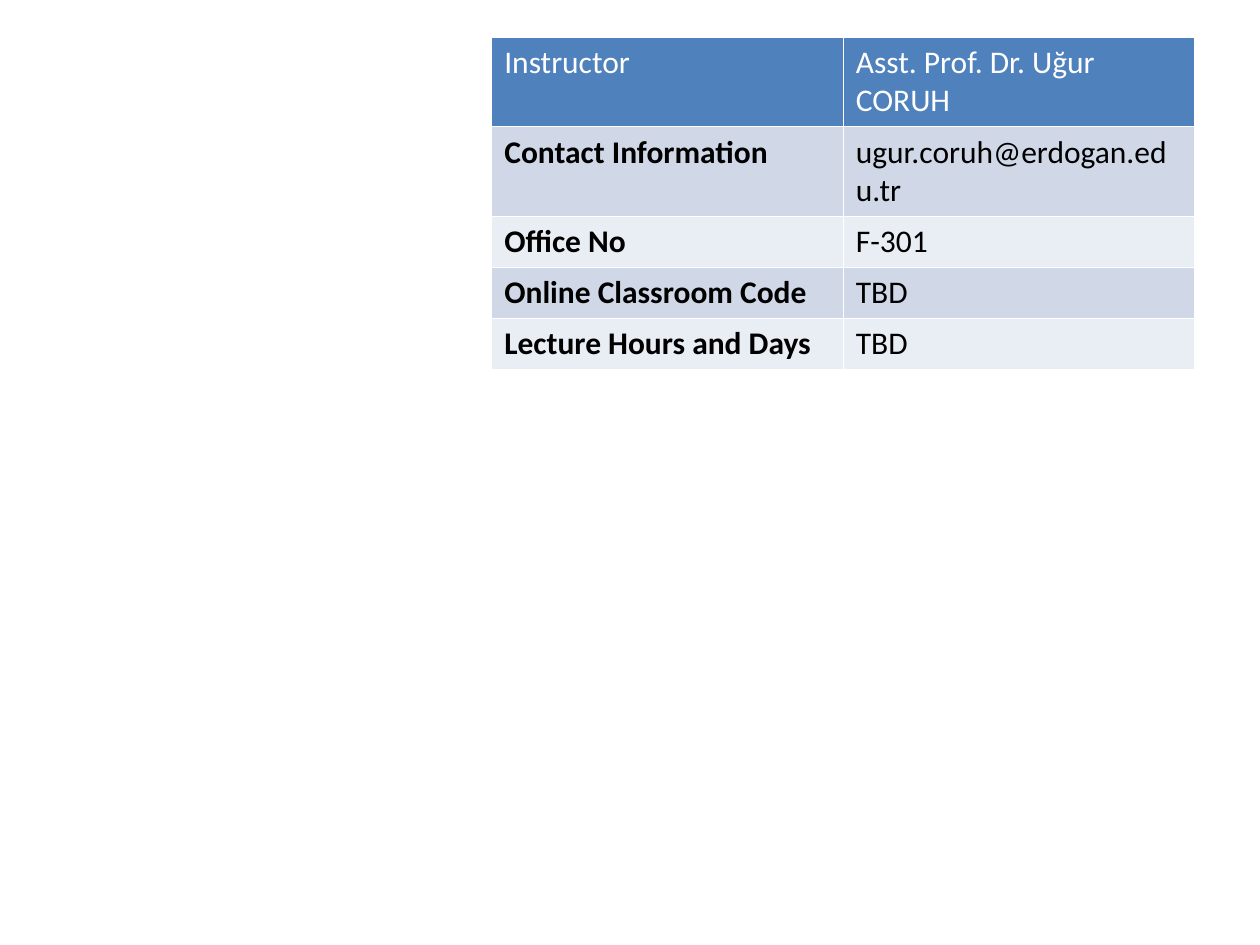
from dataclasses import dataclass

from pptx import Presentation
from pptx.dml.color import RGBColor
from pptx.util import Pt


@dataclass(frozen=True)
class Theme:
    font: str = "Calibri"
    body_size: float = 18
    header_fill: str = "4F81BD"
    header_text: str = "FFFFFF"
    body_text: str = "000000"
    band_fills: tuple = ("E9EDF4", "D0D8E8")


THEME = Theme()
ONE_LINE, TWO_LINES = 29.16, 50.8

INSTRUCTOR_ROWS = [
    ("Instructor", "Asst. Prof. Dr. Uğur CORUH", TWO_LINES),
    ("Contact Information", "ugur.coruh@erdogan.edu.tr", TWO_LINES),
    ("Office No", "F-301", ONE_LINE),
    ("Online Classroom Code", "TBD", ONE_LINE),
    ("Lecture Hours and Days", "TBD", ONE_LINE),
]


def write_text(text_frame, text, *, color, bold=False):
    paragraph = text_frame.paragraphs[0]
    run = paragraph.add_run()
    run.text = text
    run.font.name = THEME.font
    run.font.size = Pt(THEME.body_size)
    run.font.bold = bold
    run.font.color.rgb = RGBColor.from_string(color)


def add_instructor_table(slide, left, top, width):
    """Place the label and value table; the default style draws its white borders."""
    height = sum(row_height for _, _, row_height in INSTRUCTOR_ROWS)
    table = slide.shapes.add_table(
        len(INSTRUCTOR_ROWS), 2, Pt(left), Pt(top), Pt(width), Pt(height)
    ).table
    for index, (label, value, row_height) in enumerate(INSTRUCTOR_ROWS):
        is_header = index == 0
        fill = THEME.header_fill if is_header else THEME.band_fills[index % 2]
        color = THEME.header_text if is_header else THEME.body_text
        table.rows[index].height = Pt(row_height)
        for column, text in enumerate((label, value)):
            cell = table.cell(index, column)
            cell.fill.solid()
            cell.fill.fore_color.rgb = RGBColor.from_string(fill)
            write_text(cell.text_frame, text, color=color,
                       bold=column == 0 and not is_header)


def main():
    presentation = Presentation()
    presentation.slide_width, presentation.slide_height = Pt(720), Pt(540)
    slide = presentation.slides.add_slide(presentation.slide_layouts[6])
    add_instructor_table(slide, left=281, top=21.25, width=401.75)
    presentation.save("out.pptx")


if __name__ == "__main__":
    main()
